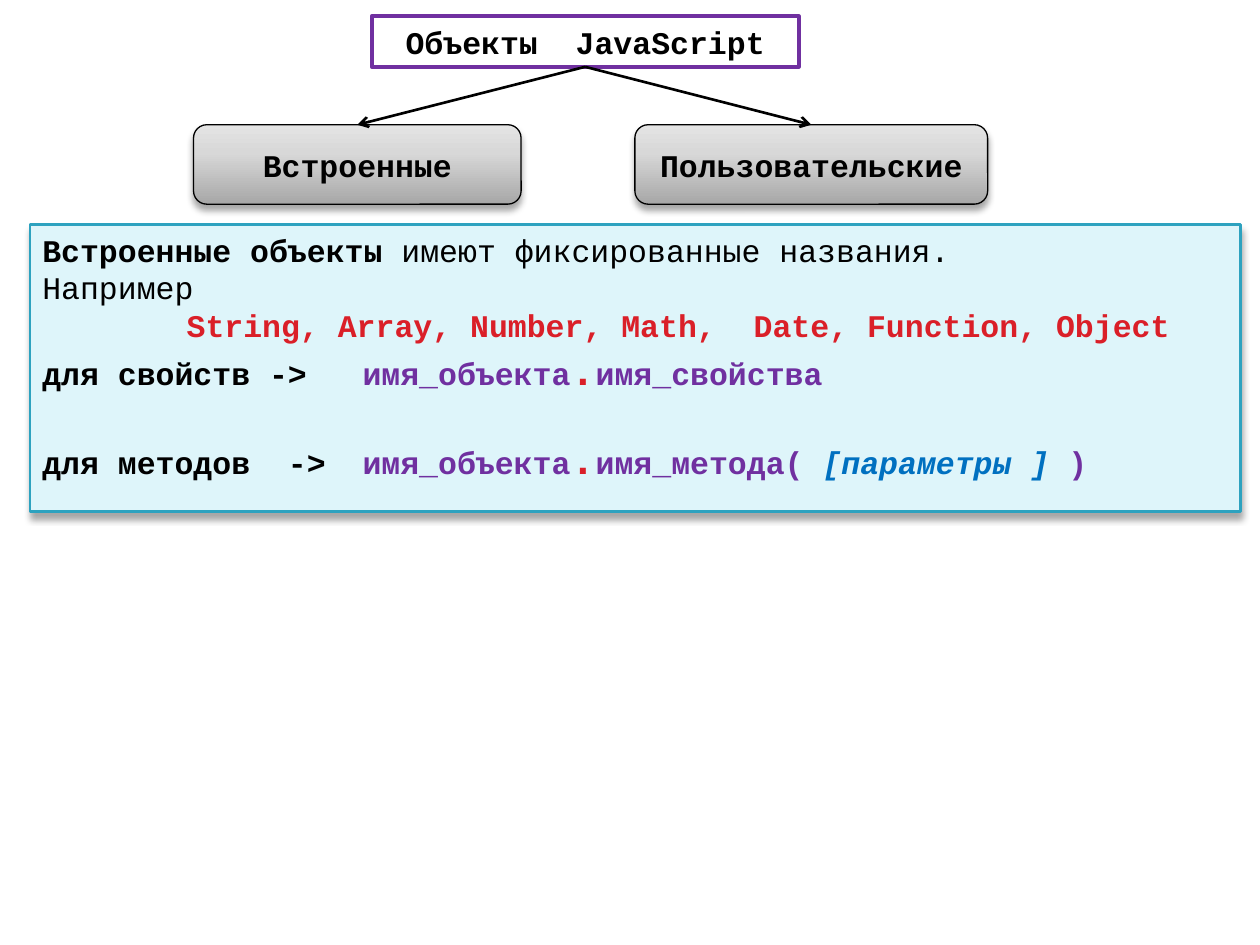
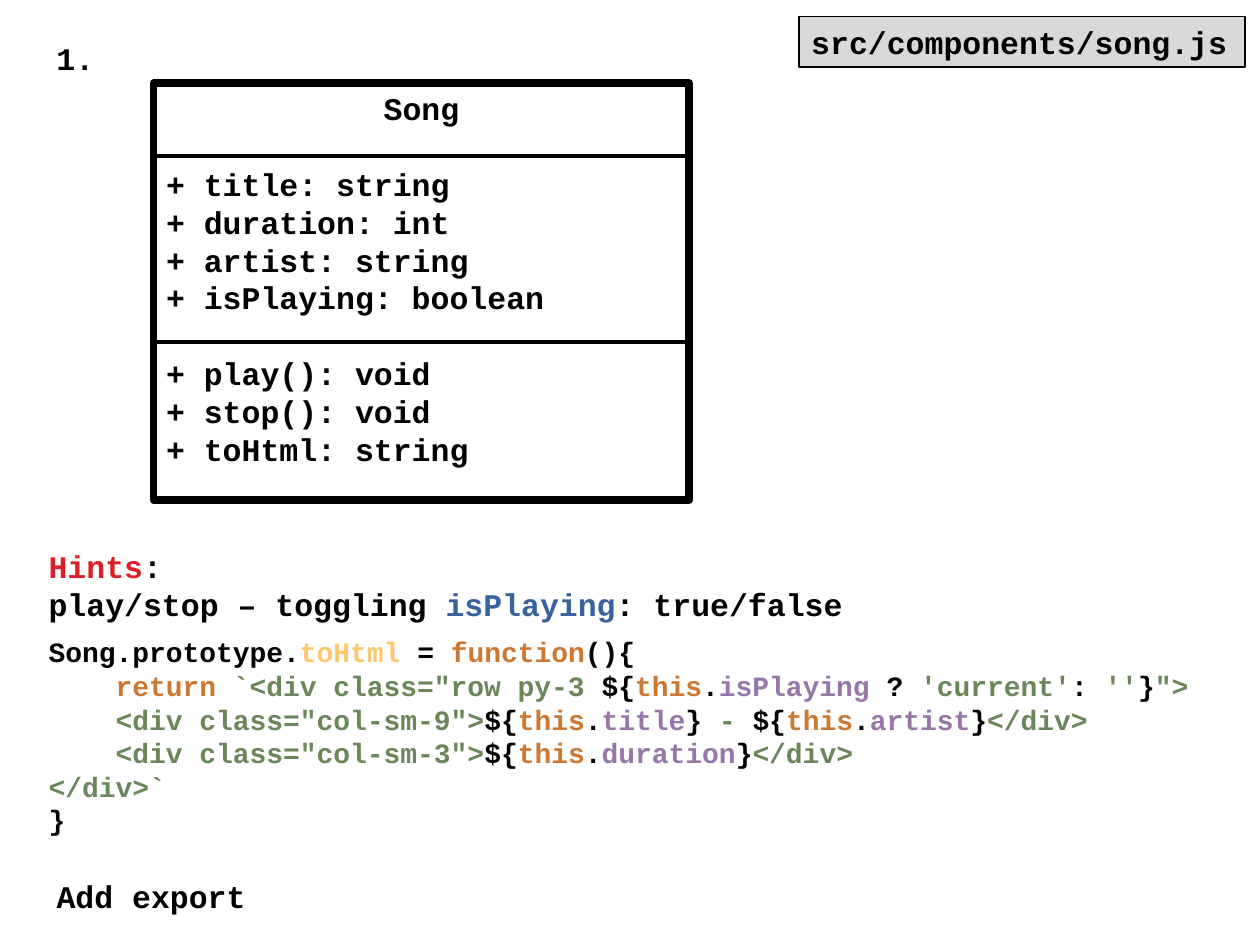
import copy
from dataclasses import dataclass

import pptx
import pptx.util
import pptx.dml.color
import pptx.enum.shapes
import pptx.enum.text
import pptx.oxml
import pptx.oxml.ns

Pt = pptx.util.Pt
RGBColor = pptx.dml.color.RGBColor
SHAPE = pptx.enum.shapes.MSO_SHAPE
ALIGN = pptx.enum.text.PP_ALIGN
ANCHOR = pptx.enum.text.MSO_ANCHOR
qn = pptx.oxml.ns.qn

BLACK = RGBColor(0x00, 0x00, 0x00)
RED = RGBColor(0xDA, 0x1F, 0x28)
PURPLE = RGBColor(0x70, 0x30, 0xA0)
BLUE = RGBColor(0x00, 0x70, 0xC0)
NAVY = RGBColor(0x39, 0x63, 0x9D)
TEAL = RGBColor(0x2D, 0xA2, 0xBF)
PALE_TEAL = RGBColor(0xDE, 0xF5, 0xFA)
LIGHT_GREY = RGBColor(0xD9, 0xD9, 0xD9)
METHOD = RGBColor(0xFF, 0xC6, 0x6D)
KEYWORD = RGBColor(0xCC, 0x78, 0x32)
STRING = RGBColor(0x6A, 0x87, 0x59)
FIELD = RGBColor(0x98, 0x76, 0xAA)
GREY_STOPS = [
    (0, RGBColor(0xA7, 0xA7, 0xA7)),
    (0.65, RGBColor(0xD8, 0xD8, 0xD8)),
    (1, RGBColor(0xE4, 0xE4, 0xE4)),
]

FONT = "Courier New"
LINE_HEIGHT = 21.6
HEADER_TOP, HEADER_HEIGHT = 9.4, 28.8
DRAWING_NS = 'xmlns:a="http://schemas.openxmlformats.org/drawingml/2006/main"'
SHADOW = (
    f'<a:effectLst {DRAWING_NS}><a:outerShdw blurRad="50800" dist="38100" '
    'dir="5400000" rotWithShape="0"><a:srgbClr val="000000">'
    '<a:alpha val="35000"/></a:srgbClr></a:outerShdw></a:effectLst>'
)


@dataclass
class Piece:
    text: str
    color: RGBColor = BLACK
    bold: bool = True
    italic: bool = False
    size: float = 18


@dataclass
class Line:
    pieces: list
    align: ALIGN = ALIGN.LEFT
    before: float = 0
    indent: float = 0
    tab: float = 0


def write_lines(frame, lines):
    for index, line in enumerate(lines):
        paragraph = frame.paragraphs[0] if index == 0 else frame.add_paragraph()
        paragraph.alignment = line.align
        paragraph.space_before = Pt(line.before)
        properties = paragraph._p.get_or_add_pPr()
        if line.indent:
            properties.set("marL", str(Pt(line.indent)))
        if line.tab:
            properties.append(pptx.oxml.parse_xml(
                f'<a:tabLst {DRAWING_NS}><a:tab pos="{Pt(line.tab)}" algn="l"/></a:tabLst>'))
        for piece in line.pieces:
            run = paragraph.add_run()
            run.text = piece.text
            run.font.name = FONT
            run.font.size = Pt(piece.size)
            run.font.bold = piece.bold
            run.font.italic = piece.italic
            run.font.color.rgb = piece.color


def add_label(slide, left, top, width, height, lines, wrap=True):
    frame = slide.shapes.add_textbox(Pt(left), Pt(top), Pt(width), Pt(height)).text_frame
    frame.word_wrap = wrap
    write_lines(frame, lines)


def add_panel(shapes, bounds, lines, border, weight, fill=None,
              outline=SHAPE.RECTANGLE, anchor=ANCHOR.TOP, shadow=False):
    panel = shapes.add_shape(outline, *map(Pt, bounds))
    if fill is None:
        panel.fill.background()
    else:
        panel.fill.solid()
        panel.fill.fore_color.rgb = fill
    panel.line.color.rgb = border
    panel.line.width = Pt(weight)
    panel.shadow.inherit = False
    if shadow:
        properties = panel._element.spPr
        properties.replace(properties.find(qn("a:effectLst")), pptx.oxml.parse_xml(SHADOW))
    panel.text_frame.word_wrap = True
    panel.text_frame.vertical_anchor = anchor
    write_lines(panel.text_frame, lines)
    return panel


def add_kind(slide, left, width, name):
    kind = add_panel(slide.shapes, (left, 71.3, width, 45.4),
                     [Line([Piece(name)], ALIGN.CENTER)], BLACK, 0.75,
                     outline=SHAPE.ROUNDED_RECTANGLE, anchor=ANCHOR.MIDDLE, shadow=True)
    kind.fill.gradient()
    kind.fill.gradient_angle = 90
    stops = kind._element.spPr.find(qn("a:gradFill")).find(qn("a:gsLst"))
    stops.append(copy.deepcopy(stops[-1]))
    for stop, (position, color) in zip(kind.fill.gradient_stops, GREY_STOPS):
        stop.color.rgb = color
        stop.position = position
    return kind


def add_line(shapes, start, end, weight):
    line = shapes.add_connector(pptx.enum.shapes.MSO_CONNECTOR.STRAIGHT,
                                *map(Pt, start + end))
    line.line.color.rgb = BLACK
    line.line.width = Pt(weight)
    line._element.spPr.append(pptx.oxml.parse_xml(f"<a:effectLst {DRAWING_NS}/>"))
    return line


def add_branch(slide, parent, child):
    branch = add_line(slide.shapes, (0, 0), (0, 0), 1.5)
    branch.begin_connect(parent, 2)
    branch.end_connect(child, 0)
    branch.line._get_or_add_ln().append(
        pptx.oxml.parse_xml(f'<a:tailEnd {DRAWING_NS} type="arrow"/>'))


def member_access(label, member, before=0):
    return Line([Piece(f"{label}\t"), Piece("имя_объекта", PURPLE),
                 Piece(".", RED, size=24), *member], before=before, tab=183)


def build_objects_slide(slide):
    root = add_panel(slide.shapes, (212.4, HEADER_TOP, 244, HEADER_HEIGHT),
                     [Line([Piece("Объекты  JavaScript")], ALIGN.CENTER)], PURPLE, 2.25)
    for left, width, name in [(110.6, 187.2, "Встроенные"), (362.8, 201.6, "Пользовательские")]:
        add_branch(slide, root, add_kind(slide, left, width, name))
    add_panel(slide.shapes, (17.1, 128.2, 692, 164.3), [
        Line([Piece("Встроенные объекты "),
              Piece("имеют фиксированные названия.", bold=False)]),
        Line([Piece("Например", bold=False)]),
        Line([Piece("String, Array, Number, Math,  Date, Function, Object", RED)], indent=82.5),
        member_access("для свойств ->", [Piece("имя_свойства", PURPLE)]),
        member_access("для методов  ->", [
            Piece("имя_метода( ", PURPLE),
            Piece("[параметры ] ", BLUE, italic=True),
            Piece(")", PURPLE)], before=LINE_HEIGHT),
    ], TEAL, 1.5, PALE_TEAL, shadow=True)


def add_class_diagram(slide, left, top, width, height, name, sections, dividers):
    group = slide.shapes.add_group_shape()
    lines = [Line([Piece(name)], ALIGN.CENTER)]
    for members in sections:
        lines += [Line([Piece(f"+ {member}")], before=0 if index else LINE_HEIGHT)
                  for index, member in enumerate(members)]
    add_panel(group.shapes, (left, top, width, height), lines, BLACK, 4.33)
    for y in dividers:
        add_line(group.shapes, (left, y), (left + width, y), 2.25)


def code_line(*parts):
    return Line([Piece(text, color, size=16) for text, color in parts])


def interpolated(field):
    return [("${", BLACK), ("this", KEYWORD), (".", BLACK), (field, FIELD), ("}", BLACK)]


def build_song_slide(slide):
    add_panel(slide.shapes, (456.5, HEADER_TOP, 254.9, HEADER_HEIGHT),
              [Line([Piece("src/components/song.js")])], BLACK, 1, LIGHT_GREY)
    add_label(slide, 25.2, 18.7, 36, 28.8, [Line([Piece("1.")])], wrap=False)
    add_class_diagram(
        slide, 87.8, 47.5, 306, 238.3, "Song",
        [["title: string", "duration: int", "artist: string", "isPlaying: boolean"],
         ["play(): void", "stop(): void", "toHtml: string"]],
        [89.3, 195.6])
    add_label(slide, 25.2, 497.5, 123, 28.8, [Line([Piece("Add export")])], wrap=False)
    add_label(slide, 20.7, 359.3, 746.6, 123.8, [
        code_line(("Song.prototype.", BLACK), ("toHtml ", METHOD), ("= ", BLACK),
                  ("function", KEYWORD), ("(){", BLACK)),
        code_line(("    return ", KEYWORD), ('`<div class="row py-3 ', STRING),
                  *interpolated("isPlaying ")[:-1], ("? ", BLACK), ("'current'", STRING),
                  (": ", BLACK), ("''", STRING), ("}", BLACK), ('">', STRING)),
        code_line(('    <div class="col-sm-9">', STRING), *interpolated("title"),
                  (" - ", STRING), *interpolated("artist"), ("</div>", STRING)),
        code_line(('    <div class="col-sm-3">', STRING), *interpolated("duration"),
                  ("</div>", STRING)),
        code_line(("</div>`", STRING)),
        code_line(("}", BLACK)),
    ])
    add_label(slide, 20.7, 308.9, 679, 51, [
        Line([Piece("Hints", RED), Piece(":")]),
        Line([Piece("play/stop – toggling "), Piece("isPlaying", NAVY),
              Piece(": true/false")]),
    ])


def main():
    deck = pptx.Presentation()
    deck.slide_width, deck.slide_height = Pt(720), Pt(540)
    for build in (build_objects_slide, build_song_slide):
        build(deck.slides.add_slide(deck.slide_layouts[6]))
    deck.save("out.pptx")


if __name__ == "__main__":
    main()
